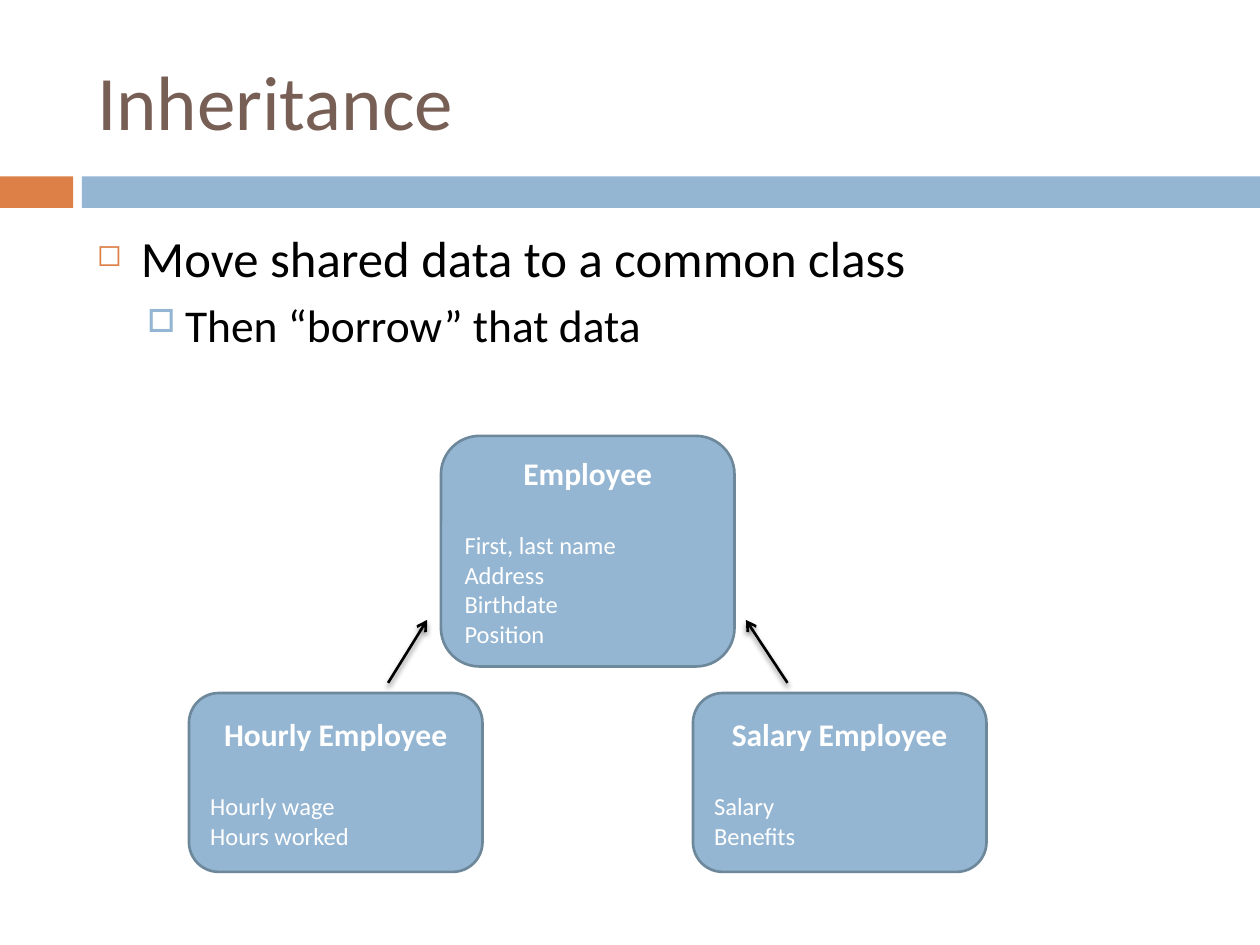
"""Build a slide on class inheritance with a small class diagram."""
from lxml import etree
from pptx import Presentation
from pptx.dml.color import RGBColor
from pptx.enum.shapes import MSO_CONNECTOR, MSO_SHAPE
from pptx.enum.text import MSO_ANCHOR, PP_ALIGN
from pptx.oxml.ns import qn
from pptx.util import Inches, Pt

RECT, ROUND = MSO_SHAPE.RECTANGLE, MSO_SHAPE.ROUNDED_RECTANGLE
LINE = MSO_CONNECTOR.STRAIGHT
MIDDLE, TOP = MSO_ANCHOR.MIDDLE, MSO_ANCHOR.TOP
LEFT, CENTER = PP_ALIGN.LEFT, PP_ALIGN.CENTER

FONT = "Calibri"
WIDE, HIGH = 10, 7.5
BLUE, ORANGE, EDGE = "94B6D2", "DD8047", "6D879B"
BROWN, BLACK, WHITE = "775F55", "000000", "FFFFFF"

TITLE = "Inheritance"
# text, size, space before, indent, hanging, bullet, bullet colour, bullet percent
POINTS = [
    ("Move shared data to a common class", 29, 7, 0.35, 0.35, "◻", ORANGE, 60),
    ("Then “borrow” that data", 26, 5.5, 0.7, 0.3, "□", BLUE, 70),
]
# name, fields, column, top, height
CLASSES = [
    ("Hourly Employee", ["Hourly wage", "Hours worked"], 0, 5.5, 1.42),
    ("Salary Employee", ["Salary", "Benefits"], 2, 5.5, 1.42),
    ("Employee", ["First, last name", "Address", "Birthdate", "Position"], 1, 3.46, 1.83),
]
BARS = [(0, 0.58, ORANGE), (0.65, WIDE - 0.65, BLUE)]
ARROWS = [(6.25, 5.92), (3.08, 3.39)]
ARROW_FOOT, ARROW_TIP = 5.42, 4.92
FIRST, STEP, BOX = 1.5, 2, 2.33
EDGE_X, BODY_W = 0.67, 8.92


def rgb(code):
    """Turn a hex string into a colour."""
    return RGBColor.from_string(code)


def node(root, tag, **attrs):
    """Add an XML child with the given attributes."""
    return etree.SubElement(root, qn(tag), {k: str(v) for k, v in attrs.items()})


def write(para, text, size, color, bold=False, align=LEFT):
    """Add one styled run to a paragraph."""
    para.alignment = align
    run = para.add_run()
    run.text = text
    font = run.font
    font.name, font.size, font.bold = FONT, Pt(size), bold
    font.color.rgb = rgb(color)


def place(shape, x, y, w, h):
    """Set the position and size of a shape."""
    shape.left, shape.top = Inches(x), Inches(y)
    shape.width, shape.height = Inches(w), Inches(h)


def block(slide, kind, x, y, w, h, color):
    """Add a flat filled shape without a line."""
    shape = slide.shapes.add_shape(kind, *map(Inches, (x, y, w, h)))
    shape.shadow.inherit = False
    shape.fill.solid()
    shape.fill.fore_color.rgb = rgb(color)
    shape.line.fill.background()
    return shape


def head(slide):
    """Fill and place the title."""
    title = slide.shapes.title
    place(title, EDGE_X, 0.25, BODY_W, 1.08)
    title.text_frame.vertical_anchor = MIDDLE
    write(title.text_frame.paragraphs[0], TITLE, 44, BROWN)


def body(slide):
    """Add the bulleted points."""
    box = slide.shapes.add_textbox(*map(Inches, (EDGE_X, 1.75, BODY_W, 4.92)))
    frame = box.text_frame
    frame.word_wrap, frame.vertical_anchor = True, TOP
    for i, (text, size, gap, left, hang, mark, color, share) in enumerate(POINTS):
        para = frame.add_paragraph() if i else frame.paragraphs[0]
        para.level, para.space_before = i, Pt(gap)
        write(para, text, size, BLACK)
        props = para._p.get_or_add_pPr()
        props.set("marL", str(Inches(left)))
        props.set("indent", str(-Inches(hang)))
        node(node(props, "a:buClr"), "a:srgbClr", val=color)
        node(props, "a:buSzPct", val=share * 1000)
        node(props, "a:buChar", char=mark)


def card(slide, name, fields, col, top, high):
    """Add one class box with its name and fields."""
    shape = block(slide, ROUND, FIRST + col * STEP, top, BOX, high, BLUE)
    shape.line.color.rgb, shape.line.width = rgb(EDGE), Pt(1.5)
    frame = shape.text_frame
    frame.word_wrap, frame.vertical_anchor = True, MIDDLE
    para = frame.paragraphs[0]
    para.space_after = Pt(22)
    write(para, name, 18, WHITE, True, CENTER)
    for field in fields:
        write(frame.add_paragraph(), field, 14, WHITE)


def arrow(slide, foot, tip):
    """Add an arrow with a soft shadow."""
    ends = map(Inches, (foot, ARROW_FOOT, tip, ARROW_TIP))
    link = slide.shapes.add_connector(LINE, *ends)
    link.line.color.rgb, link.line.width = rgb(BLACK), Pt(1.5)
    props = link._element.spPr
    node(props.find(qn("a:ln")), "a:tailEnd", type="arrow")
    shade = node(node(props, "a:effectLst"), "a:outerShdw", blurRad=Pt(3),
                 dist=Pt(2.4), dir=90 * 60000, rotWithShape=0)
    node(node(shade, "a:srgbClr", val=BLACK), "a:alpha", val=45000)


def main():
    """Build and save the slide."""
    deck = Presentation()
    deck.slide_width, deck.slide_height = Inches(WIDE), Inches(HIGH)
    slide = deck.slides.add_slide(deck.slide_layouts[5])
    for x, w, color in BARS:
        block(slide, RECT, x, 1.4, w, 0.25, color)
    head(slide)
    body(slide)
    for item in CLASSES:
        card(slide, *item)
    for foot, tip in ARROWS:
        arrow(slide, foot, tip)
    deck.save("out.pptx")


if __name__ == "__main__":
    main()
